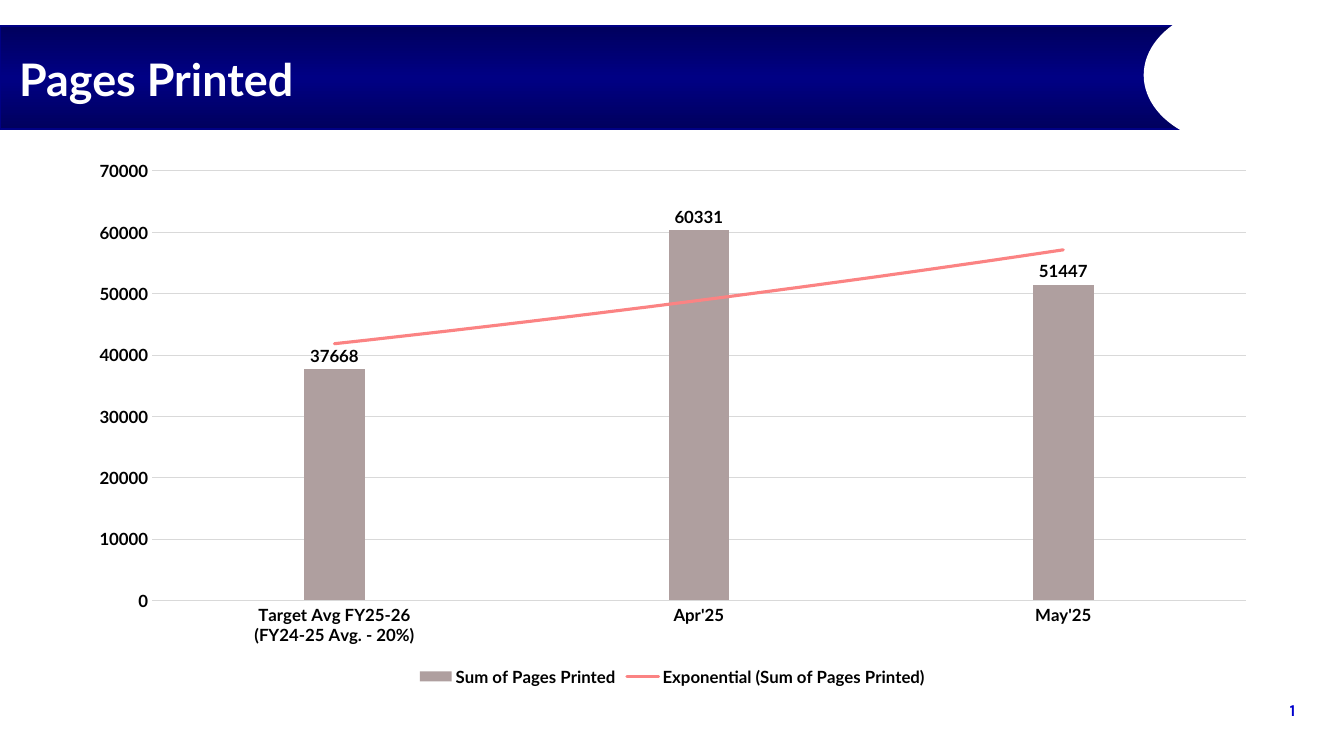
"""Build the Pages Printed slide: a banner title over a column chart with a trend line."""
from copy import deepcopy

from lxml import etree
from pptx import Presentation
from pptx import util as u
from pptx.chart import data as chart_data
from pptx.dml.color import RGBColor
from pptx.enum import chart as ch, shapes, text
from pptx.oxml import ns


def rgb(code):
    return RGBColor.from_string(code)


def style(font, size, color, name="Lato"):
    font.size, font.name, font.bold = u.Pt(size), name, True
    font.color.rgb = rgb(color)


deck = Presentation()
deck.slide_width, deck.slide_height = u.Inches(13.33), u.Inches(7.5)
page = deck.slides.add_slide(deck.slide_layouts[6])

BANNER = [(0, "00005E"), (0.5, "000084"), (1, "00005E")]
banner = page.shapes.add_shape(
    shapes.MSO_SHAPE.RECTANGLE, 0, u.Inches(0.26), u.Inches(11.74), u.Inches(1.02))
banner.shadow.inherit = False
banner.fill.gradient()
banner.fill.gradient_angle = 90
stop_list = banner._element.spPr.find(".//" + ns.qn("a:gsLst"))
stop_list.append(deepcopy(stop_list[-1]))
for stop, (position, color) in zip(banner.fill.gradient_stops, BANNER):
    stop.position = position
    stop.color.rgb = rgb(color)
banner.line.color.rgb = rgb("000084")
banner.line.width = u.Pt(1.5)

cutout = page.shapes.add_shape(
    shapes.MSO_SHAPE.OVAL, u.Inches(11.35), u.Inches(0.05), u.Inches(1.95), u.Inches(1.39))
cutout.shadow.inherit = False
cutout.fill.solid()
cutout.fill.fore_color.rgb = rgb("FFFFFF")
cutout.line.color.rgb = rgb("FFFFFF")
cutout.line.width = u.Pt(1)

LABELS = [
    ("Pages Printed", (0.19, 0.28, 11.02, 1), 0, 32, "Lato", "FFFFFF",
     text.PP_ALIGN.LEFT, text.MSO_ANCHOR.MIDDLE),
    ("1", (11.89, 6.9, 0.96, 0.3), 0.05, 11.8, "Karla", "0000CC",
     text.PP_ALIGN.RIGHT, text.MSO_ANCHOR.TOP),
]
for words, place, inset, size, face, color, align, anchor in LABELS:
    box = page.shapes.add_textbox(*map(u.Inches, place))
    frame = box.text_frame
    frame.word_wrap = True
    frame.vertical_anchor = anchor
    frame.margin_left = frame.margin_right = 0
    frame.margin_top = frame.margin_bottom = u.Inches(inset)
    para = frame.paragraphs[0]
    para.alignment = align
    span = para.add_run()
    span.text = words
    style(span.font, size, color, face)

pages = chart_data.CategoryChartData()
pages.categories = ["Target Avg FY25-26\n(FY24-25 Avg. - 20%)", "Apr'25", "May'25"]
pages.add_series("Sum of Pages Printed", [37668, 60331, 51447])
chart = page.shapes.add_chart(
    ch.XL_CHART_TYPE.COLUMN_CLUSTERED, u.Inches(0.75), u.Inches(1.49),
    u.Inches(11.84), u.Inches(5.36), pages).chart
style(chart.font, 10, "000000")
chart.has_title = False
chart.has_legend = True
chart.legend.position = ch.XL_LEGEND_POSITION.BOTTOM
chart.legend.include_in_layout = False
style(chart.legend.font, 12, "000000")

months, amounts = chart.category_axis, chart.value_axis
for axis in (months, amounts):
    axis.major_tick_mark = axis.minor_tick_mark = ch.XL_TICK_MARK.NONE
    style(axis.tick_labels.font, 12, "000000")
amounts.minimum_scale, amounts.maximum_scale, amounts.major_unit = 0, 70000, 10000
amounts.format.line.fill.background()
amounts.has_major_gridlines = True
for line in (months.format.line, amounts.major_gridlines.format.line):
    line.color.rgb = rgb("D9D9D9")
    line.width = u.Pt(0.75)

plot = chart.plots[0]
plot.gap_width, plot.overlap, plot.vary_by_categories = 500, -27, False
bars = plot.series[0]
bars.format.fill.solid()
bars.format.fill.fore_color.rgb = rgb("AF9F9F")
labels = bars.data_labels
labels.show_value = True
labels.position = ch.XL_LABEL_POSITION.OUTSIDE_END
style(labels.font, 12, "000000")

trend = etree.fromstring(
    f'<c:trendline {ns.nsdecls("c", "a")}>'
    '<c:name>Exponential (Sum of Pages Printed)</c:name>'
    f'<c:spPr><a:ln w="{u.Pt(2.25)}" cap="rnd"><a:solidFill><a:srgbClr val="FB8383"/>'
    '</a:solidFill></a:ln></c:spPr><c:trendlineType val="exp"/>'
    '<c:dispRSqr val="0"/><c:dispEq val="0"/></c:trendline>')
bars._element.find(ns.qn("c:cat")).addprevious(trend)

deck.save("out.pptx")
